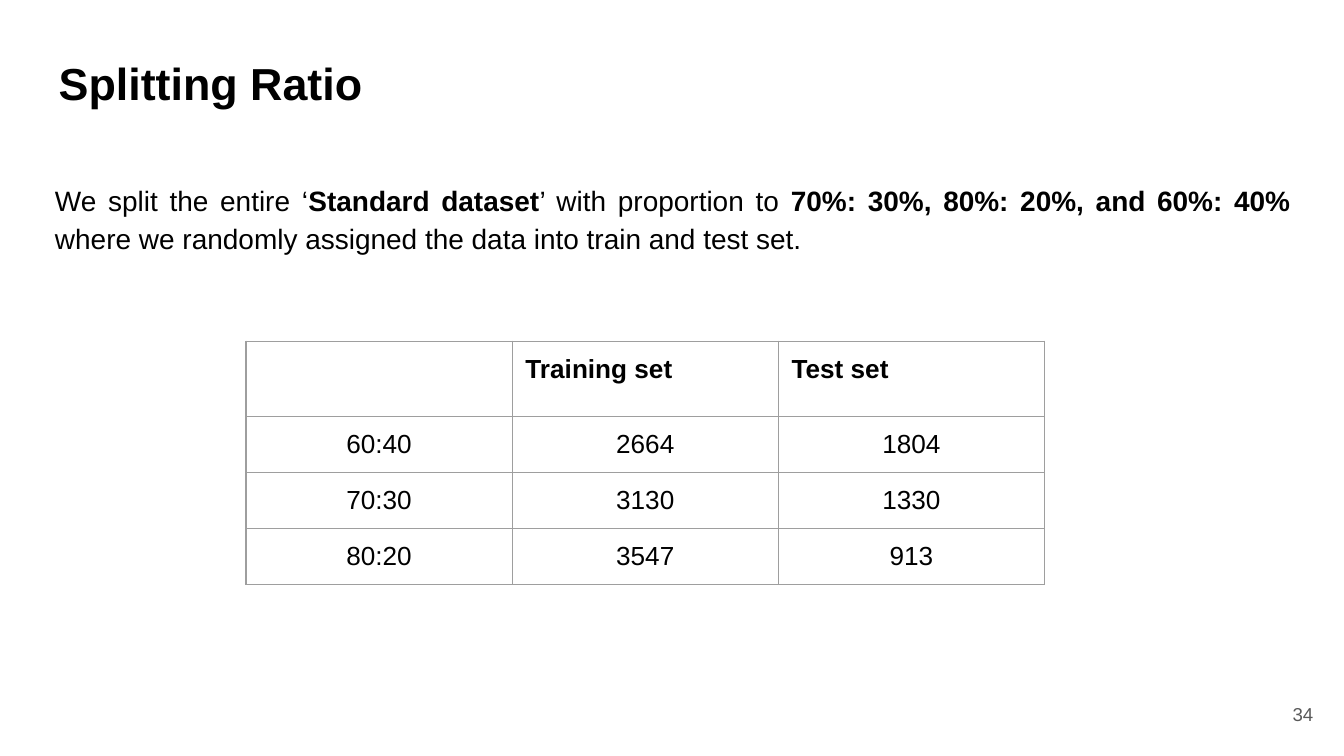
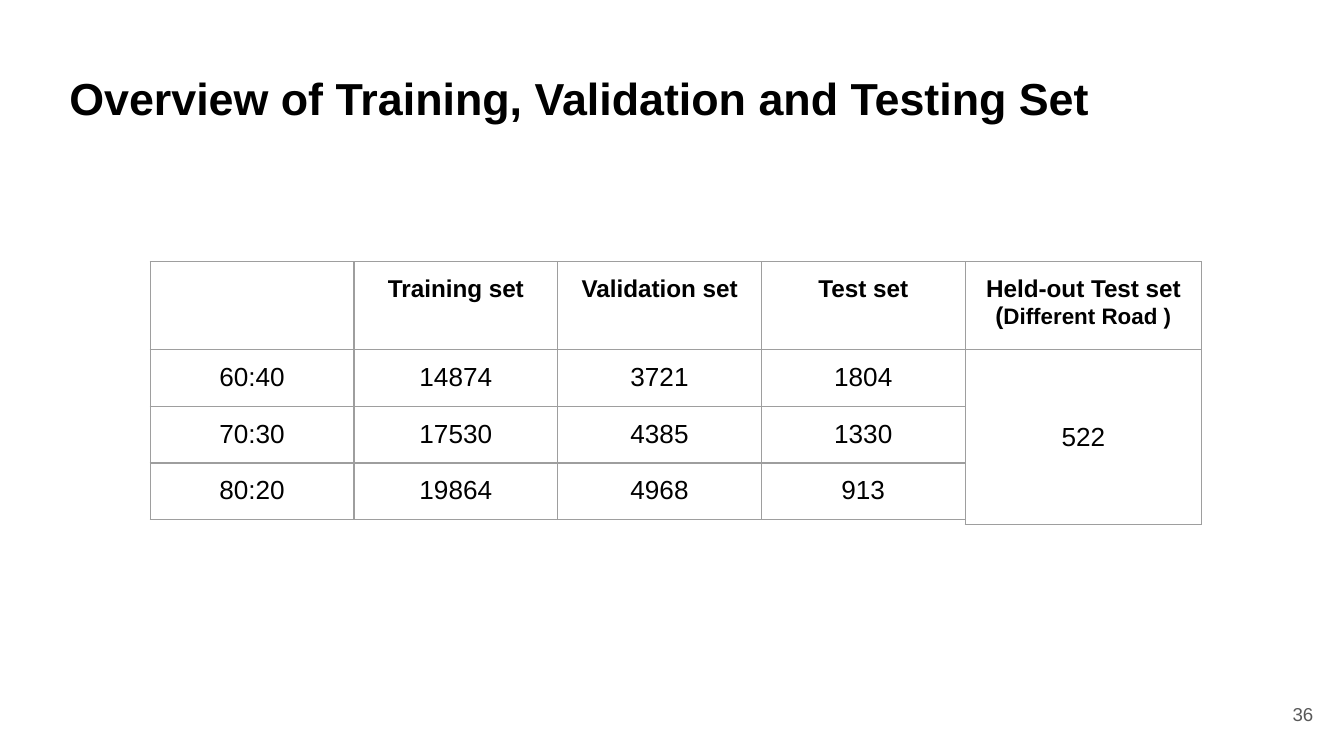
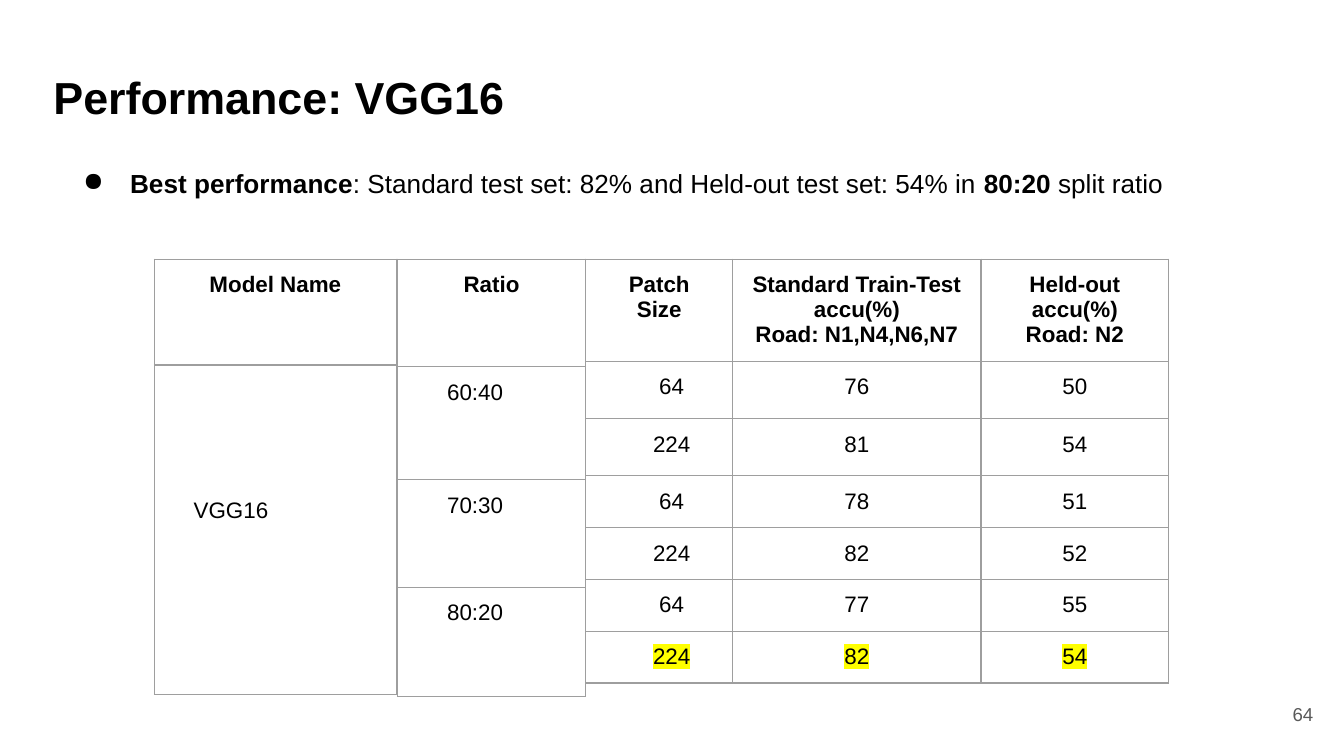
"""Builds three slides on data splits and VGG16 performance."""
from pptx import Presentation
from pptx.dml.color import RGBColor
from pptx.enum import text as t
from pptx.oxml.xmlchemy import OxmlElement
from pptx.util import Cm, Pt

BLACK = RGBColor(0x00, 0x00, 0x00)
GREY = RGBColor(0x59, 0x59, 0x59)
RULE = RGBColor(0x9E, 0x9E, 0x9E)
YELLOW = RGBColor(0xFF, 0xFF, 0x00)
FONT = "Arial"
INSET = 0.25
LEFT, CENTER, RIGHT, JUSTIFY = (
    t.PP_ALIGN.LEFT, t.PP_ALIGN.CENTER, t.PP_ALIGN.RIGHT, t.PP_ALIGN.JUSTIFY)

SPLIT_TEXT = ("We split the entire ‘**Standard dataset**’ with proportion to"
              "** 70%: 30%, 80%: 20%, and 60%: 40%** where we randomly assigned "
              "the data into train and test set.")
BEST_TEXT = ("**Best performance**: Standard test set: 82% and Held-out test set: "
             "54% in **80:20** split ratio")

SPLIT_ROWS = [
    ("", "Training set", "Test set"),
    ("60:40", "2664", "1804"),
    ("70:30", "3130", "1330"),
    ("80:20", "3547", "913"),
]
OVERVIEW_ROWS = [
    ("", "Training set", "Validation set", "Test set"),
    ("60:40", "14874", "3721", "1804"),
    ("70:30", "17530", "4385", "1330"),
    ("80:20", "19864", "4968", "913"),
]
HELD_OUT_ROWS = [("Held-out Test set\n(**Different Road )**",), ("522",)]
ACCURACY_ROWS = [
    ("Patch\nSize", "Standard Train-Test\naccu(%)\nRoad: N1,N4,N6,N7",
     "Held-out\naccu(%)\nRoad: N2"),
    ("64", "76", "50"),
    ("224", "81", "54"),
    ("64", "78", "51"),
    ("224", "82", "52"),
    ("64", "77", "55"),
    ("224", "82", "54"),
]
RATIO_ROWS = [("Ratio",), ("60:40",), ("70:30",), ("80:20",)]
MODEL_ROWS = [("Model Name",), ("VGG16",)]


def child(parent, tag, **attributes):
    element = OxmlElement(tag)
    for key, value in attributes.items():
        element.set(key, str(value))
    parent.append(element)
    return element


def write(frame, content, size, bold=None, color=BLACK, align=LEFT):
    """Fill a frame, one paragraph a line; ** switches bold when bold is None."""
    for number, line in enumerate(content.split("\n")):
        paragraph = frame.paragraphs[0] if number == 0 else frame.add_paragraph()
        paragraph.alignment = align
        font = paragraph.font
        font.name, font.size, font.bold = FONT, Pt(size), bold
        font.color.rgb = color
        for part, words in enumerate(line.split("**")):
            if words:
                run = paragraph.add_run()
                run.text = words
                if bold is None:
                    run.font.bold = part % 2 == 1


def set_insets(frame, left=INSET):
    frame.margin_left = Cm(left)
    frame.margin_right = frame.margin_top = frame.margin_bottom = Cm(INSET)
    frame.word_wrap = True
    frame.auto_size = t.MSO_AUTO_SIZE.NONE


def add_text(slide, box, content, size, anchor=t.MSO_ANCHOR.TOP, **style):
    frame = slide.shapes.add_textbox(*map(Cm, box)).text_frame
    set_insets(frame)
    frame.vertical_anchor = anchor
    write(frame, content, size, **style)
    return frame.paragraphs[0]


def add_slide(deck, title, left, top, page, width=23.67, inset=INSET):
    slide = deck.slides.add_slide(deck.slide_layouts[5])
    heading = slide.shapes.title
    heading.left, heading.top = Cm(left), Cm(top)
    heading.width, heading.height = Cm(width), Cm(1.6)
    set_insets(heading.text_frame, inset)
    heading.text_frame.vertical_anchor = t.MSO_ANCHOR.TOP
    write(heading.text_frame, title, 24, bold=True)
    add_text(slide, (23.55, 12.95, 1.52, 1.09), page, 10, t.MSO_ANCHOR.MIDDLE,
             color=GREY, align=RIGHT)
    return slide


def draw_borders(cell):
    properties = cell._tc.get_or_add_tcPr()
    for index, side in enumerate("LRTB"):
        line = child(properties, f"a:ln{side}", w=Pt(0.75))
        child(child(line, "a:solidFill"), "a:srgbClr", val=RULE)
        properties.insert(index, line)


def add_table(slide, left, top, widths, heights, rows, head_size, size,
              head_align=CENTER, align=CENTER):
    table = slide.shapes.add_table(
        len(rows), len(widths), Cm(left), Cm(top),
        Cm(sum(widths)), Cm(sum(heights))).table
    table.first_row = table.horz_banding = False
    for column, width in zip(table.columns, widths):
        column.width = Cm(width)
    for r, (height, values) in enumerate(zip(heights, rows)):
        table.rows[r].height = Cm(height)
        for c, value in enumerate(values):
            cell = table.cell(r, c)
            cell.margin_left = cell.margin_right = Cm(INSET)
            cell.margin_top = cell.margin_bottom = Cm(INSET)
            cell.fill.background()
            draw_borders(cell)
            write(cell.text_frame, value, size if r else head_size, bold=r == 0,
                  align=align if r else head_align)
    return table


def build_split(deck):
    slide = add_slide(deck, "Splitting Ratio", 0.86, 0.81, "34")
    body = add_text(slide, (0.79, 3.12, 23.85, 9.09), SPLIT_TEXT, 15, align=JUSTIFY)
    body.line_spacing = 1.15
    add_table(slide, 4.65, 6.45, [5.03] * 3, [1.42] + [1.06] * 3, SPLIT_ROWS,
              14, 14, head_align=LEFT)


def build_overview(deck):
    slide = add_slide(deck, "Overview of Training, Validation and Testing Set",
                      0.58, 1.09, "36", inset=0.73)
    left, top, widths = 2.84, 4.95, [3.85] * 4
    add_table(slide, left, top, widths, [1.66] + [1.07] * 3, OVERVIEW_ROWS, 13, 14)
    held_out = add_table(slide, left + sum(widths), top, [4.47], [1.66, 3.3],
                         HELD_OUT_ROWS, 13, 14)
    road = held_out.cell(0, 0).text_frame.paragraphs[1]
    road.runs[1].font.size = Pt(12)
    held_out.cell(1, 0).vertical_anchor = t.MSO_ANCHOR.MIDDLE


def build_performance(deck):
    slide = add_slide(deck, "Performance: VGG16", 0.76, 1.07, "64", width=12.52)
    top = 4.9
    accuracy = add_table(slide, 11.07, top, [2.78, 4.69, 3.55],
                         [1.93] + [1.08] * 2 + [0.98] * 4, ACCURACY_ROWS, 12, 12)
    for r in range(1, len(ACCURACY_ROWS)):
        accuracy.cell(r, 0).margin_left = Cm(0.72)
    for best in accuracy.rows[len(ACCURACY_ROWS) - 1].cells:
        run = best.text_frame.paragraphs[0].runs[0]
        highlight = child(run._r.get_or_add_rPr(), "a:highlight")
        child(highlight, "a:srgbClr", val=YELLOW)

    ratio = add_table(slide, 7.51, top, [3.56], [2.03, 2.14, 2.03, 2.06],
                      RATIO_ROWS, 12, 12, align=LEFT)
    for r in range(1, len(RATIO_ROWS)):
        ratio.cell(r, 0).margin_left = Cm(0.94)

    model = add_table(slide, 2.92, top, [4.57], [2.0, 6.23], MODEL_ROWS, 12, 12,
                      align=LEFT).cell(1, 0)
    model.margin_left, model.margin_top = Cm(0.74), Cm(2.52)

    best_line = add_text(slide, (0.94, 2.92, 22.3, 1.12), BEST_TEXT, 14)
    properties = best_line._p.get_or_add_pPr()
    properties.set("marL", str(Cm(1.27)))
    properties.set("indent", str(-Cm(0.89)))
    color = child(properties, "a:buClr")
    child(color, "a:srgbClr", val=BLACK)
    bullet = child(properties, "a:buChar", char="●")
    defaults = properties.find(
        "{http://schemas.openxmlformats.org/drawingml/2006/main}defRPr")
    defaults.addprevious(color)
    defaults.addprevious(bullet)


def main():
    deck = Presentation()
    deck.slide_width, deck.slide_height = Cm(25.4), Cm(14.29)
    build_split(deck)
    build_overview(deck)
    build_performance(deck)
    deck.save("out.pptx")


if __name__ == "__main__":
    main()
